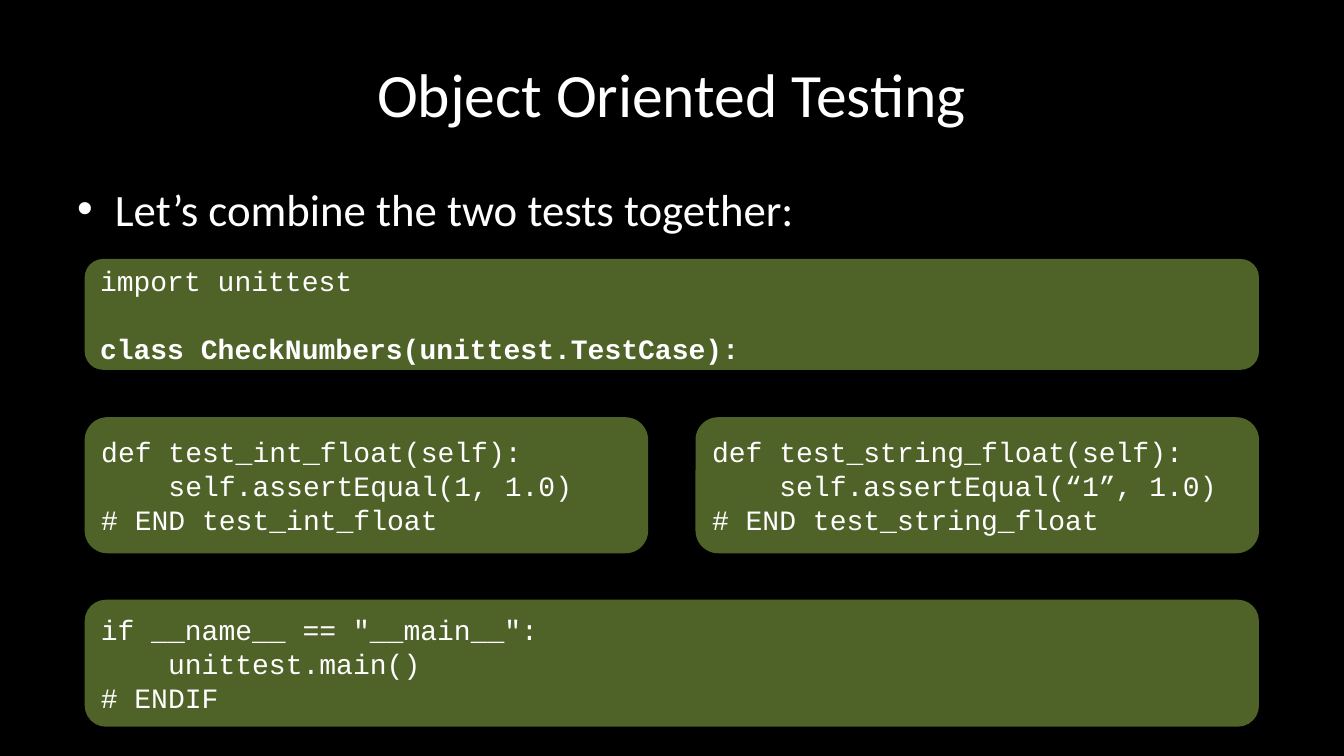
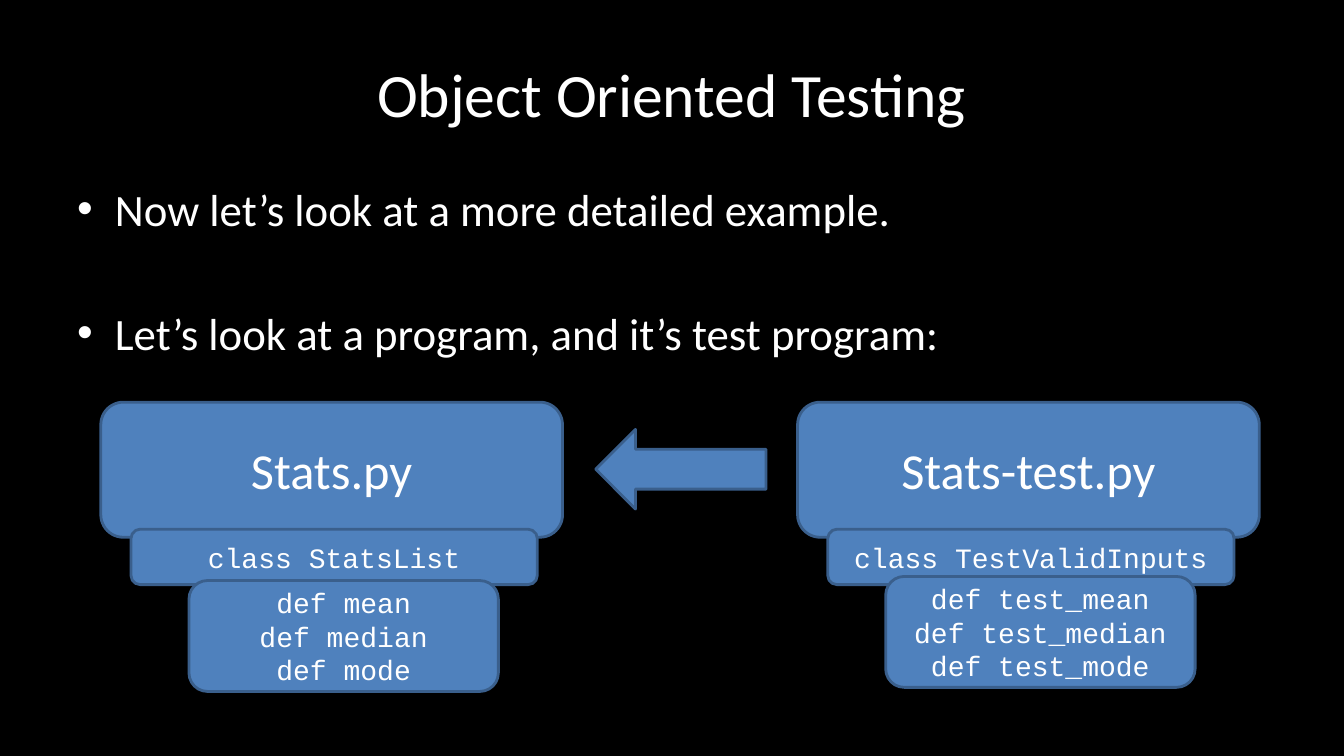
from lxml import etree
from pptx import Presentation
from pptx.dml.color import RGBColor
from pptx.enum.shapes import MSO_SHAPE as SHAPE
from pptx.enum.text import MSO_ANCHOR as ANCHOR, PP_ALIGN as ALIGN
from pptx.oxml.ns import qn
from pptx.util import Pt

# Shared look
BLACK, WHITE, GREEN, BLUE, NAVY = "000000", "FFFFFF", "4F6228", "4F81BD", "3A5F8C"
SANS, MONO = "Calibri", "Courier New"
CODE_SIZE, CODE_LINE = 20, 24
BULLET_INDENT, BULLET_GAP = 27, 50.2
TITLE = "Object Oriented Testing"

# Slide 1: rows of code boxes as (top, height, boxes in the row)
CODE_LEFT, CODE_WIDTH, CODE_GAP = 60.5, 838.8, 33.8
COMBINE_BULLETS = ["Let’s combine the two tests together:"]
CODE_ROWS = [
    (185, 79.2, [["import unittest",
                  ("class CheckNumbers(unittest.TestCase):",
                   dict(bold=True, before=CODE_LINE))]]),
    (298, 97.2, [["def test_int_float(self):",
                  "    self.assertEqual(1, 1.0)",
                  "# END test_int_float"],
                 ["def test_string_float(self):",
                  "    self.assertEqual(“1”, 1.0)",
                  "# END test_string_float"]]),
    (428.4, 90.7, [['if __name__ == "__main__":',
                    "    unittest.main()",
                    "# ENDIF"]]),
]

# Slide 2: two programs, each a stack of file, class and methods
EXAMPLE_BULLETS = ["Now let’s look at a more detailed example.",
                   "Let’s look at a program, and it’s test program:"]
PROGRAMS = [
    dict(left=72, methods_top=414.7, file="Stats.py", cls="class StatsList",
         methods=["def mean", "def median", "def mode"]),
    dict(left=569.7, methods_top=411.8, file="Stats-test.py",
         cls="class TestValidInputs",
         methods=["def test_mean", "def test_median", "def test_mode"]),
]
ARROW = (425.5, 306.7, 121.7, 56.9)


def color(hex_code):
    return RGBColor.from_string(hex_code)


def write(sp, lines, font=SANS, size=32, align=ALIGN.LEFT, anchor=ANCHOR.MIDDLE,
          bullet=False, gap=0):
    """Fill a shape; a line is a string or (string, dict of bold, before)."""
    tf = sp.text_frame
    tf.word_wrap = True
    tf.vertical_anchor = anchor
    for i, line in enumerate(lines):
        text, extra = (line, {}) if isinstance(line, str) else line
        p = tf.paragraphs[0] if i == 0 else tf.add_paragraph()
        p.alignment = align
        if i:
            p.space_before = Pt(extra.get("before", gap))
        if bullet:
            pPr = p._p.get_or_add_pPr()
            pPr.set("marL", str(Pt(BULLET_INDENT)))
            pPr.set("indent", str(-Pt(BULLET_INDENT)))
            etree.SubElement(pPr, qn("a:buFont")).set("typeface", "Arial")
            etree.SubElement(pPr, qn("a:buChar")).set("char", "•")
        r = p.add_run()
        r.text = text
        r.font.name, r.font.size = font, Pt(size)
        r.font.bold = extra.get("bold", False)
        r.font.color.rgb = color(WHITE)


def add_text(s, box, lines, **fmt):
    write(s.shapes.add_textbox(*map(Pt, box)), lines, **fmt)


def add_box(s, box, lines=(), fill=BLUE, line=NAVY, kind=SHAPE.ROUNDED_RECTANGLE, **fmt):
    sp = s.shapes.add_shape(kind, *map(Pt, box))
    sp.shadow.inherit = False
    sp.fill.solid()
    sp.fill.fore_color.rgb = color(fill)
    if line:
        sp.line.color.rgb = color(line)
        sp.line.width = Pt(2)
    else:
        sp.line.fill.background()
    write(sp, lines, **fmt)


def add_slide(prs, bullets):
    """Black slide with the shared title and its bullets."""
    s = prs.slides.add_slide(prs.slide_layouts[6])
    s.background.fill.solid()
    s.background.fill.fore_color.rgb = color(BLACK)
    add_text(s, (48, 21.6, 864, 90), [TITLE], size=44, align=ALIGN.CENTER)
    add_text(s, (48, 126, 864, 356.4), bullets, anchor=ANCHOR.TOP,
             bullet=True, gap=BULLET_GAP)
    return s


def build_combined_tests(prs):
    s = add_slide(prs, COMBINE_BULLETS)
    for top, height, boxes in CODE_ROWS:
        width = (CODE_WIDTH - CODE_GAP * (len(boxes) - 1)) / len(boxes)
        for col, code in enumerate(boxes):
            left = CODE_LEFT + col * (width + CODE_GAP)
            add_box(s, (left, top, width, height), code, fill=GREEN, line=None,
                    font=MONO, size=CODE_SIZE)


def build_programs(prs):
    s = add_slide(prs, EXAMPLE_BULLETS)
    add_box(s, ARROW, kind=SHAPE.LEFT_ARROW)
    code = dict(font=MONO, size=CODE_SIZE, align=ALIGN.CENTER)
    for prog in PROGRAMS:
        left = prog["left"]
        add_box(s, (left, 287.3, 329.8, 96.5), [prog["file"]], size=36,
                align=ALIGN.CENTER)
        add_box(s, (left + 21.6, 378, 290.2, 39.6), [prog["cls"]], **code)
        add_box(s, (left + 63, prog["methods_top"], 221, 79.2),
                prog["methods"], **code)


def main():
    prs = Presentation()
    prs.slide_width, prs.slide_height = Pt(960), Pt(540)
    build_combined_tests(prs)
    build_programs(prs)
    prs.save("out.pptx")


if __name__ == "__main__":
    main()
